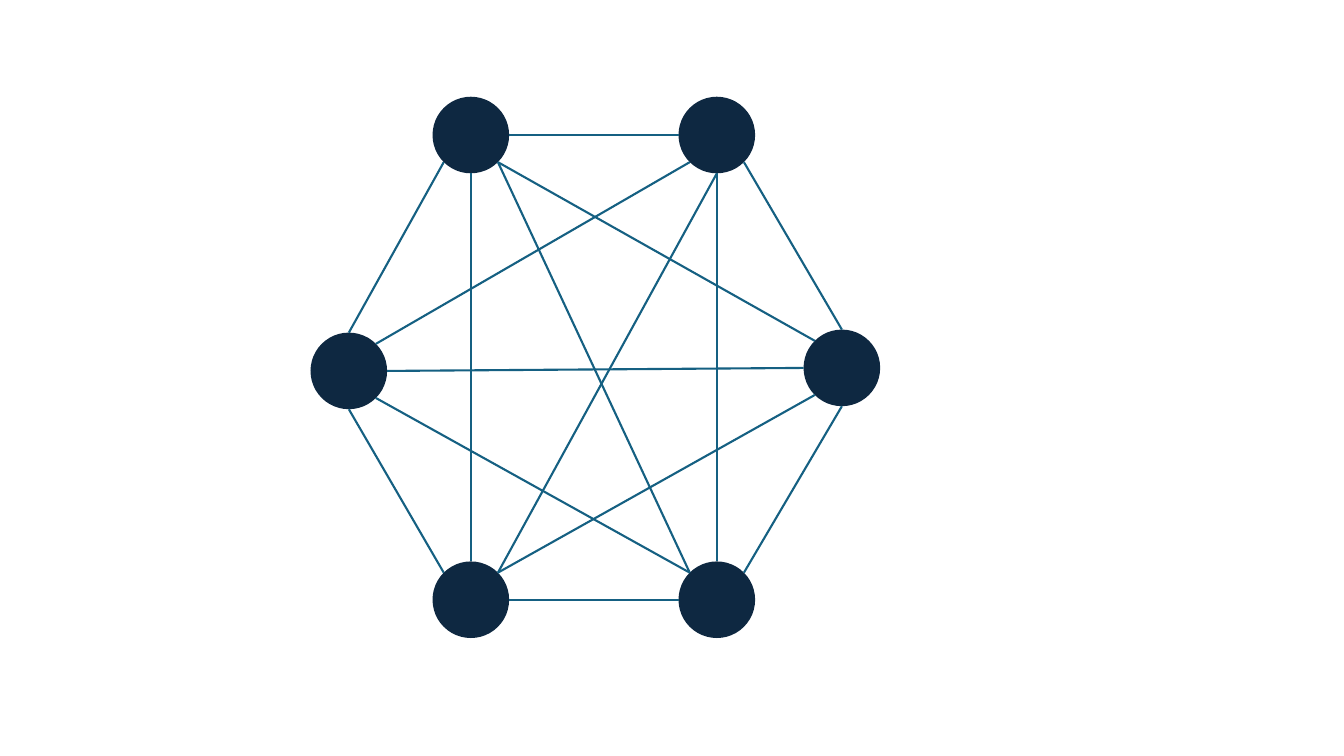
from dataclasses import dataclass
from math import sqrt

from lxml.etree import SubElement
from pptx import Presentation
from pptx.dml.color import RGBColor
from pptx.enum.shapes import MSO_CONNECTOR, MSO_SHAPE
from pptx.oxml.ns import qn
from pptx.util import Inches, Pt


@dataclass(frozen=True)
class Theme:
    node_color: RGBColor = RGBColor(0x0E, 0x28, 0x41)
    link_color: RGBColor = RGBColor(0x15, 0x60, 0x82)
    link_width: float = 1.5
    node_size: float = 0.76


class NetworkSlide:
    """Draws nodes and links on the slide."""

    # Unit directions from a node's centre to its rim
    DIAGONAL = 1 / sqrt(2)
    RIM = {
        "top": (0, -1), "bottom": (0, 1), "left": (-1, 0), "right": (1, 0),
        "top left": (-DIAGONAL, -DIAGONAL), "top right": (DIAGONAL, -DIAGONAL),
        "bottom left": (-DIAGONAL, DIAGONAL), "bottom right": (DIAGONAL, DIAGONAL),
    }

    def __init__(self, slide, theme):
        self.slide = slide
        self.theme = theme
        self.centers = {}

    def add_node(self, name, left, top):
        size = self.theme.node_size
        shape = self.slide.shapes.add_shape(
            MSO_SHAPE.OVAL, Inches(left), Inches(top), Inches(size), Inches(size))
        shape.shadow.inherit = False
        shape.fill.solid()
        shape.fill.fore_color.rgb = self.theme.node_color
        shape.line.fill.background()
        self.centers[name] = (left + size / 2, top + size / 2)

    def rim_point(self, name, side):
        radius = self.theme.node_size / 2
        return [Inches(center + radius * direction)
                for center, direction in zip(self.centers[name], self.RIM[side])]

    def add_link(self, start, start_side, end, end_side):
        connector = self.slide.shapes.add_connector(
            MSO_CONNECTOR.STRAIGHT,
            *self.rim_point(start, start_side), *self.rim_point(end, end_side))
        connector.line.color.rgb = self.theme.link_color
        connector.line.width = Pt(self.theme.link_width)
        SubElement(connector._element.spPr, qn("a:effectLst"))


# Node positions: left and top
NODES = {
    "upper right": (6.73, 0.96),
    "lower left": (4.29, 5.57),
    "upper left": (4.29, 0.96),
    "lower right": (6.73, 5.57),
    "west": (3.08, 3.3),
    "east": (7.97, 3.27),
}

# Every pair of nodes, with the side where each link touches
LINKS = [
    # Outer ring
    ("upper left", "bottom left", "west", "top"),
    ("lower left", "top left", "west", "bottom"),
    ("east", "bottom", "lower right", "top right"),
    ("lower right", "left", "lower left", "right"),
    ("upper right", "left", "upper left", "right"),
    ("upper right", "bottom right", "east", "top"),
    # Inner links
    ("upper left", "bottom right", "lower right", "top left"),
    ("upper right", "bottom", "lower right", "top"),
    ("upper left", "bottom", "lower left", "top"),
    ("upper left", "bottom right", "east", "top left"),
    ("upper right", "bottom left", "west", "top right"),
    ("lower left", "top right", "upper right", "bottom"),
    ("west", "right", "east", "left"),
    ("west", "bottom right", "lower right", "top left"),
    ("lower left", "top right", "east", "bottom left"),
]


def main():
    presentation = Presentation()
    presentation.slide_width = Inches(13.33)
    presentation.slide_height = Inches(7.5)
    slide = presentation.slides.add_slide(presentation.slide_layouts[6])
    network = NetworkSlide(slide, Theme())

    for name, (left, top) in NODES.items():
        network.add_node(name, left, top)
    for link in LINKS:
        network.add_link(*link)

    presentation.save("out.pptx")


if __name__ == "__main__":
    main()
